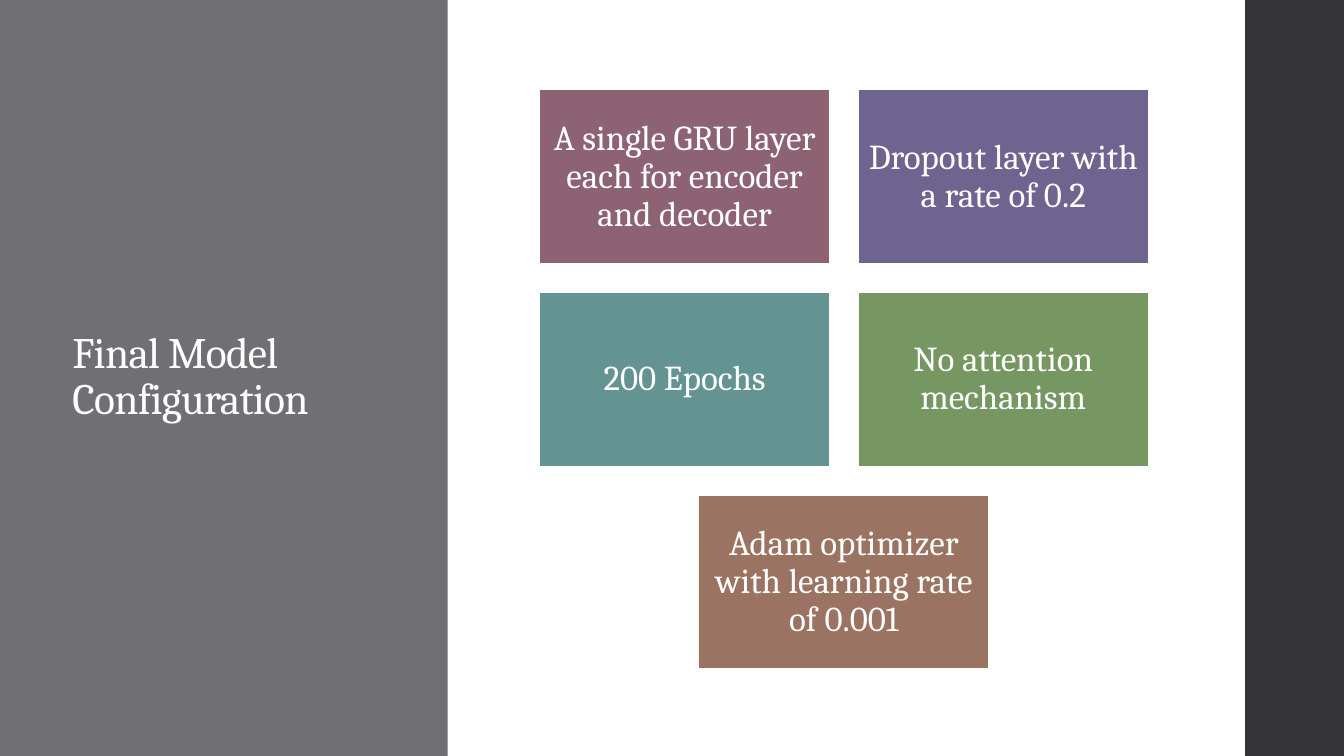
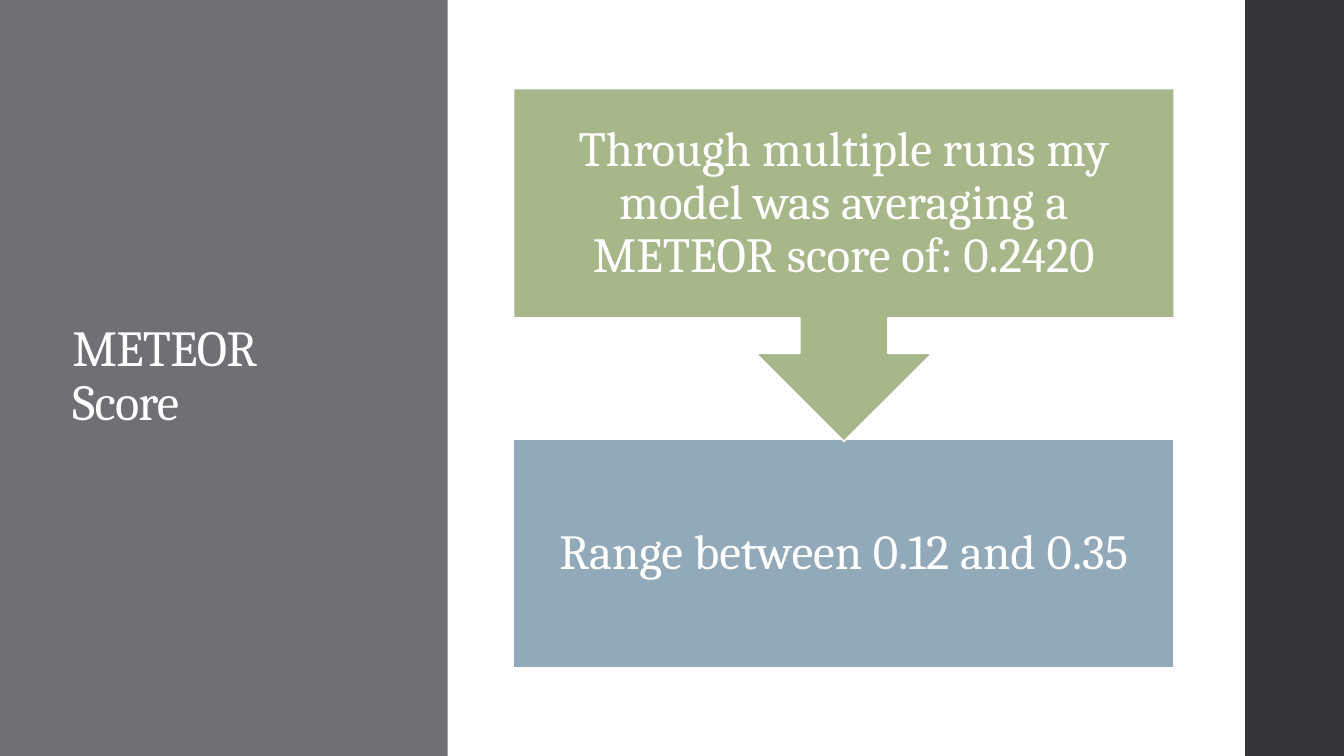
from pptx import Presentation
from pptx.dml.color import RGBColor
from pptx.enum import shapes, text
from pptx.util import Inches, Pt

FONT = "Cambria"
WHITE, PANEL, EDGE = "FFFFFF", "6F6F74", "353537"
RECT = shapes.MSO_SHAPE.RECTANGLE
CALLOUT = shapes.MSO_SHAPE.DOWN_ARROW_CALLOUT

# Content
CONFIG_TITLE = ("Final Model Configuration", 31)
CONFIG = [
    ("A single GRU layer each for encoder and decoder", "8D6374"),
    ("Dropout layer with a rate of 0.2", "6F6390"),
    ("200 Epochs", "639491"),
    ("No attention mechanism", "769762"),
    ("Adam optimizer with learning rate of 0.001", "9B7362"),
]
SCORE_TITLE = ("METEOR Score", 36)
# Text, colour, shape, top, height; the callout overlaps the box below
SCORE = [
    ("Range between 0.12 and 0.35", "92A9B9", RECT, 4.36, 2.27),
    ("Through multiple runs my model was averaging a METEOR score of: 0.2420",
     "A7B789", CALLOUT, 0.88, 3.5),
]

# Layout of the content area
CENTER, TOP = 8.37, 0.89
CARD_W, CARD_H, GAP, COLS = 2.88, 1.73, 0.28, 2
STEP_W = 6.55


def rgb(value):
    return RGBColor.from_string(value)


def write(sp, words, size, align, inset):
    tf = sp.text_frame
    tf.word_wrap = True
    tf.vertical_anchor = text.MSO_ANCHOR.MIDDLE
    tf.margin_left = tf.margin_right = Inches(inset)
    tf.margin_top = tf.margin_bottom = Inches(inset)
    p = tf.paragraphs[0]
    p.alignment, p.line_spacing = align, 0.9
    r = p.add_run()
    r.text = words
    p.font.name, p.font.size = FONT, Pt(size)
    p.font.color.rgb = rgb(WHITE)
    return r


def block(s, x, y, w, h, fill, kind=RECT, outlined=False):
    sp = s.shapes.add_shape(kind, *map(Inches, (x, y, w, h)))
    sp.shadow.inherit = False
    sp.fill.solid()
    sp.fill.fore_color.rgb = rgb(fill)
    if outlined:
        sp.line.color.rgb = rgb(WHITE)
        sp.line.width = Pt(1.1)
    else:
        sp.line.fill.background()
    return sp


def add_slide(prs, title, size):
    """Blank slide with the two side bands and the title."""
    s = prs.slides.add_slide(prs.slide_layouts[6])
    block(s, 0, 0, 4.44, 7.5, PANEL)
    block(s, 12.35, 0, 0.98, 7.5, EDGE)
    box = s.shapes.add_textbox(*map(Inches, (0.62, 0.91, 2.97, 5.67)))
    r = write(box, title, size, text.PP_ALIGN.LEFT, 0.1)
    r._r.get_or_add_rPr().set("spc", "-50")
    return s


def main():
    prs = Presentation()
    prs.slide_width, prs.slide_height = Inches(13.33), Inches(7.5)

    # Cards in rows of two, each row centred
    s = add_slide(prs, *CONFIG_TITLE)
    for i, (words, fill) in enumerate(CONFIG):
        row, col = divmod(i, COLS)
        count = min(COLS, len(CONFIG) - row * COLS)
        left = CENTER - (count * CARD_W + (count - 1) * GAP) / 2
        card = block(s, left + col * (CARD_W + GAP),
                     TOP + row * (CARD_H + GAP),
                     CARD_W, CARD_H, fill, outlined=True)
        write(card, words, 25, text.PP_ALIGN.CENTER, 0.1)

    # Score callout pointing to its range
    s = add_slide(prs, *SCORE_TITLE)
    for words, fill, kind, top, height in SCORE:
        step = block(s, CENTER - STEP_W / 2, top, STEP_W, height,
                     fill, kind, outlined=True)
        write(step, words, 35, text.PP_ALIGN.CENTER, 0.27)

    prs.save("out.pptx")


if __name__ == "__main__":
    main()
